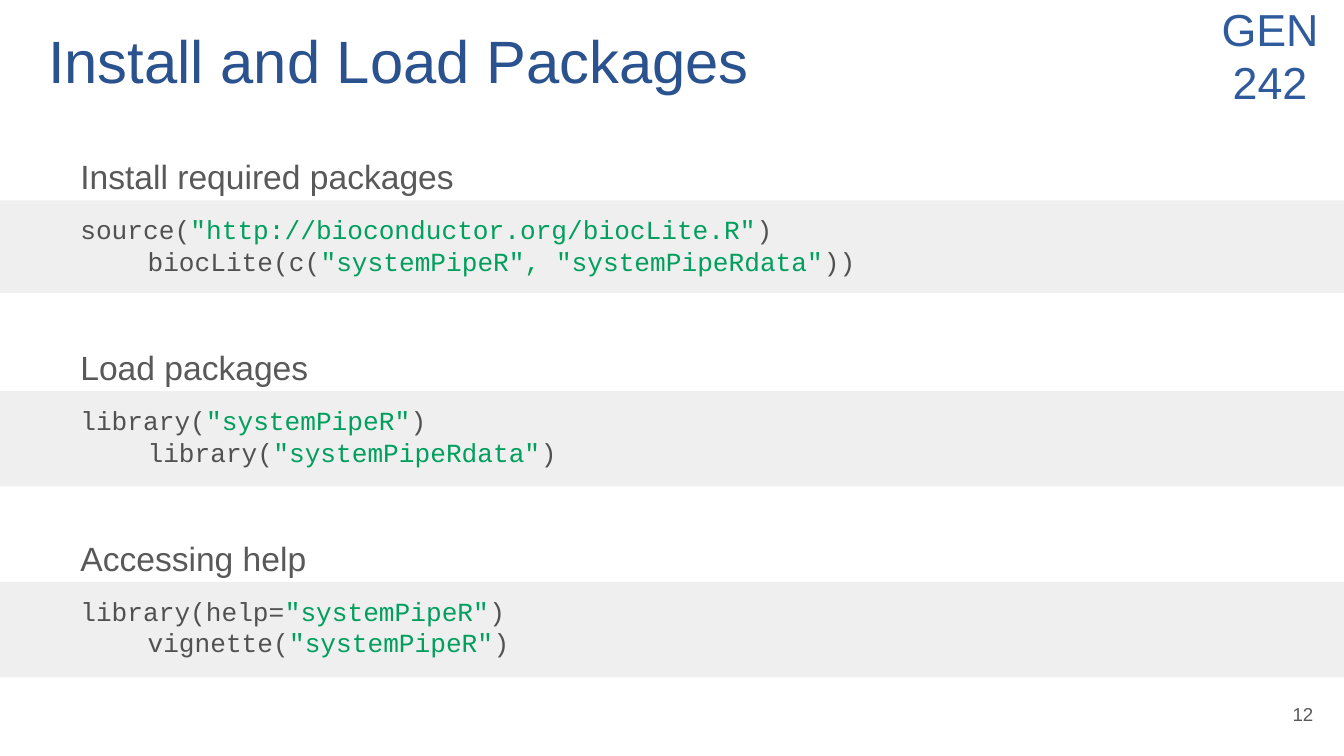
from pptx import Presentation
from pptx.dml.color import RGBColor
from pptx.enum.shapes import MSO_SHAPE
from pptx.enum.text import MSO_ANCHOR, PP_ALIGN
from pptx.util import Inches, Pt

TITLE_BLUE = RGBColor(0x2A, 0x52, 0x8F)
COURSE_BLUE = RGBColor(0x2F, 0x5B, 0x9D)
GRAY = RGBColor(0x59, 0x59, 0x59)
CODE_GRAY = RGBColor(0x51, 0x51, 0x51)
STRING_GREEN = RGBColor(0x00, 0x9F, 0x5D)
BAND_GRAY = RGBColor(0xEF, 0xEF, 0xEF)

# Content: heading, band height, code lines
SECTIONS = [
    ("Install required packages", 0.69,
     [['source(', '"http://bioconductor.org/biocLite.R"', ')'],
      ['biocLite(c(', '"systemPipeR", "systemPipeRdata"', '))']]),
    ("Load packages", 0.71,
     [['library(', '"systemPipeR"', ')'],
      ['library(', '"systemPipeRdata"', ')']]),
    ("Accessing help", 0.71,
     [['library(help=', '"systemPipeR"', ')'],
      ['vignette(', '"systemPipeR"', ')']]),
]
FIRST_HEADING, HEADING_TO_BAND, PITCH = 1.06, 0.43, 1.42
CODE_INDENT = 0.5

# Widescreen 16:9
prs = Presentation()
prs.slide_width = Inches(10)
prs.slide_height = prs.slide_width * 9 // 16
s = prs.slides.add_slide(prs.slide_layouts[6])


def style(r, size, color, font="Arial"):
    r.font.size, r.font.name = Pt(size), font
    r.font.color.rgb = color


def set_frame(tf, anchor):
    tf.word_wrap = True
    tf.vertical_anchor = anchor
    tf.margin_left = tf.margin_right = Inches(0.1)
    tf.margin_top = tf.margin_bottom = Inches(0.1)


def add_text(text, box, size, color, anchor=MSO_ANCHOR.TOP, align=PP_ALIGN.LEFT):
    tf = s.shapes.add_textbox(*map(Inches, box)).text_frame
    set_frame(tf, anchor)
    tf.text = text
    for p in tf.paragraphs:
        p.alignment = align
        for r in p.runs:
            style(r, size, color)


def add_code(lines, top, height):
    sp = s.shapes.add_shape(MSO_SHAPE.RECTANGLE, 0, Inches(top),
                            prs.slide_width, Inches(height))
    sp.shadow.inherit = False
    sp.fill.solid()
    sp.fill.fore_color.rgb = BAND_GRAY
    sp.line.fill.background()
    tf = sp.text_frame
    set_frame(tf, MSO_ANCHOR.TOP)
    for i, parts in enumerate(lines):
        p = tf.add_paragraph() if i else tf.paragraphs[0]
        p.alignment = PP_ALIGN.LEFT
        # Each line starts one step further right
        p._p.get_or_add_pPr().set("marL", str(Inches(CODE_INDENT * (i + 1))))
        for part in parts:
            r = p.add_run()
            r.text = part
            color = STRING_GREEN if part.startswith('"') else CODE_GRAY
            style(r, 14, color, "Courier New")


# Course label, slide number and title
add_text("GEN\n242", (8.82, -0.09, 1.26, 0.98), 24, COURSE_BLUE,
         align=PP_ALIGN.CENTER)
add_text("12", (9.27, 5.1, 0.6, 0.43), 10, GRAY, MSO_ANCHOR.MIDDLE, PP_ALIGN.RIGHT)
add_text("Install and Load Packages", (0.26, 0.05, 9.32, 0.76), 32, TITLE_BLUE,
         MSO_ANCHOR.BOTTOM)

# Headings, each above its code band
for i, (heading, height, lines) in enumerate(SECTIONS):
    top = FIRST_HEADING + i * PITCH
    add_text(heading, (0.5, top, 8.83, 0.71), 18, GRAY)
    add_code(lines, top + HEADING_TO_BAND, height)

prs.save("out.pptx")
